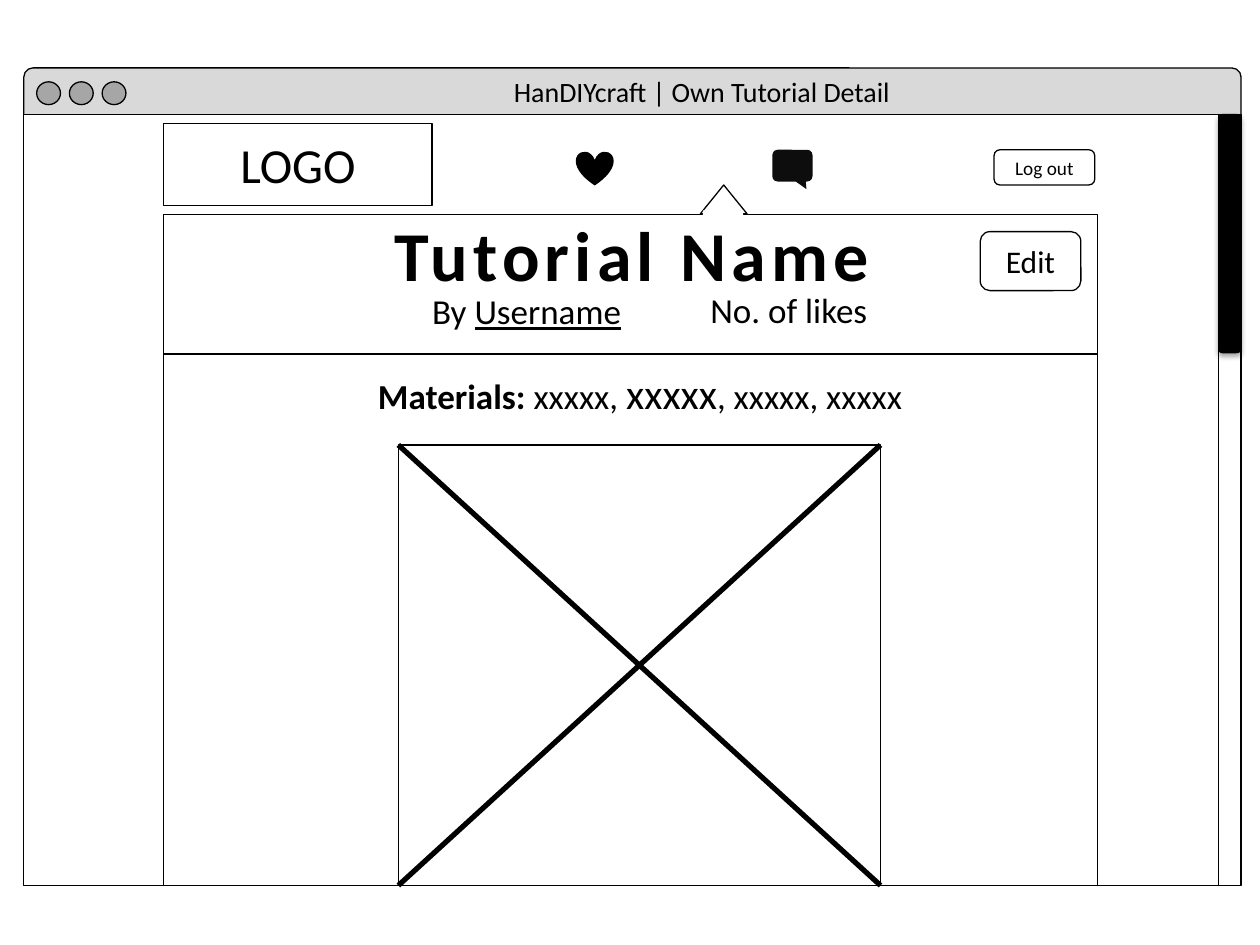
from lxml import etree
from pptx import Presentation
from pptx import util as u
from pptx.dml.color import RGBColor
from pptx.enum import shapes, text
from pptx.oxml import ns

BLACK = RGBColor(0x00, 0x00, 0x00)
INK = RGBColor(0x0D, 0x0D, 0x0D)
WHITE = RGBColor(0xFF, 0xFF, 0xFF)
BAR_GREY = RGBColor(0xD9, 0xD9, 0xD9)
BUTTON_GREY = RGBColor(0xA6, 0xA6, 0xA6)
KIND = shapes.MSO_SHAPE


class Wireframe:
    """Style and current slide; all lengths are in centimetres."""

    font_name = "Calibri"
    outline = u.Pt(0.75)

    def __init__(self, slide):
        self.slide = slide

    def style_font(self, font, size):
        font.name = self.font_name
        font.size = u.Pt(size)
        font.color.rgb = BLACK

    def shape(self, kind, left, top, width, height, fill=WHITE, line=True):
        item = self.slide.shapes.add_shape(
            kind, u.Cm(left), u.Cm(top), u.Cm(width), u.Cm(height))
        item.shadow.inherit = False
        if fill is None:
            item.fill.background()
        else:
            item.fill.solid()
            item.fill.fore_color.rgb = fill
        if line:
            item.line.color.rgb = BLACK
            item.line.width = self.outline
        else:
            item.line.fill.background()
        return item

    def label(self, kind, left, top, width, height, words, size, fill=None):
        """Outlined shape with a centred caption."""
        frame = self.shape(kind, left, top, width, height, fill).text_frame
        frame.word_wrap = True
        frame.vertical_anchor = text.MSO_ANCHOR.MIDDLE
        paragraph = frame.paragraphs[0]
        paragraph.text = words
        paragraph.alignment = text.PP_ALIGN.CENTER
        self.style_font(paragraph.font, size)

    def text(self, left, top, width, height, words, size, wrap=False):
        """Text box from a list of strings; returns its runs."""
        box = self.slide.shapes.add_textbox(
            u.Cm(left), u.Cm(top), u.Cm(width), u.Cm(height))
        frame = box.text_frame
        frame.word_wrap = wrap
        frame.auto_size = text.MSO_AUTO_SIZE.SHAPE_TO_FIT_TEXT
        paragraph = frame.paragraphs[0]
        self.style_font(paragraph.font, size)
        runs = []
        for part in words:
            run = paragraph.add_run()
            run.text = part
            runs.append(run)
        return runs

    def line(self, x1, y1, x2, y2, width):
        rule = self.slide.shapes.add_connector(
            shapes.MSO_CONNECTOR.STRAIGHT,
            u.Cm(x1), u.Cm(y1), u.Cm(x2), u.Cm(y2))
        rule.line.color.rgb = BLACK
        rule.line.width = u.Pt(width)
        etree.SubElement(rule._element.spPr, ns.qn("a:effectLst"))

    def drop_shadow(self, item):
        effects = item._element.spPr.find(ns.qn("a:effectLst"))
        shadow = etree.SubElement(
            effects, ns.qn("a:outerShdw"), blurRad=str(u.Pt(3.1)),
            dist=str(u.Pt(1.8)), dir="5400000", rotWithShape="0")
        colour = etree.SubElement(shadow, ns.qn("a:srgbClr"), val=str(BLACK))
        etree.SubElement(colour, ns.qn("a:alpha"), val="35000")


def draw_browser(page):
    page.shape(KIND.ROUNDED_RECTANGLE, 0.48, 1.37, 24.54, 1.12, BAR_GREY)
    page.shape(KIND.RECTANGLE, 0.48, 2.31, 24.54, 15.54)
    for i in range(3):
        page.shape(KIND.OVAL, 0.74 + i * 0.66, 1.65, 0.48, 0.46, BUTTON_GREY)
    page.shape(KIND.RECTANGLE, 3.3, 4.32, 18.82, 13.53)
    page.shape(KIND.RECTANGLE, 24.57, 2.31, 0.44, 15.54)
    thumb = page.shape(KIND.ROUNDED_RECTANGLE, 24.57, 2.31, 0.44, 4.8, BLACK)
    page.drop_shadow(thumb)
    page.text(10.11, 1.37, 8.31, 0.94,
              ["HanDIYcraft | Own Tutorial Detail"], 16, wrap=True)


def draw_tutorial(page):
    title, = page.text(7.7, 4.14, 10.57, 1.96, ["Tutorial Name"], 40, wrap=True)
    title.font.bold = True
    title.font._element.set("spc", "300")
    author = page.text(8.46, 5.72, 4.37, 1.12, ["By ", "Username"], 20)
    author[1].font.underline = True
    page.text(14.07, 5.69, 3.73, 1.12, ["No. of likes"], 20)
    page.line(3.3, 7.14, 22.12, 7.14, 1)

    left, top, right, bottom = 8.03, 8.97, 17.75, 17.85
    page.shape(KIND.RECTANGLE, left, top, right - left, bottom - top, None)
    page.line(left, top, right, bottom, 3)
    page.line(left, bottom, right, top, 3)

    materials = page.text(
        7.37, 7.29, 11.18, 1.27,
        ["Materials: ", "xxxxx, ", "xxxxx", ", xxxxx, xxxxx"], 20)
    materials[0].font.bold = True
    materials[2].font.size = u.Pt(24)
    page.label(KIND.ROUNDED_RECTANGLE, 19.76, 4.67, 2.03, 1.19, "Edit", 18)


def draw_navigation(page):
    page.label(KIND.RECTANGLE, 3.3, 2.49, 5.41, 1.65, "LOGO", 28, WHITE)
    page.shape(KIND.HEART, 11.61, 3.05, 0.76, 0.69, BLACK, line=False)
    page.label(KIND.ROUNDED_RECTANGLE, 20.04, 3.02, 2.03, 0.71, "Log out", 11)
    messages = page.shape(KIND.ROUNDED_RECTANGULAR_CALLOUT,
                          15.57, 3.02, 0.81, 0.64, INK, line=False)
    for i, value in enumerate((0.35, 0.74, 0.17)):
        messages.adjustments[i] = value
    page.shape(KIND.ISOSCELES_TRIANGLE, 14.12, 3.73, 0.94, 0.58)
    page.shape(KIND.RECTANGLE, 14.17, 4.24, 0.81, 0.2, line=False)


def main():
    deck = Presentation()
    deck.slide_width, deck.slide_height = u.Cm(25.4), u.Cm(19.05)
    page = Wireframe(deck.slides.add_slide(deck.slide_layouts[6]))
    draw_browser(page)
    draw_tutorial(page)
    draw_navigation(page)
    deck.save("out.pptx")


if __name__ == "__main__":
    main()
